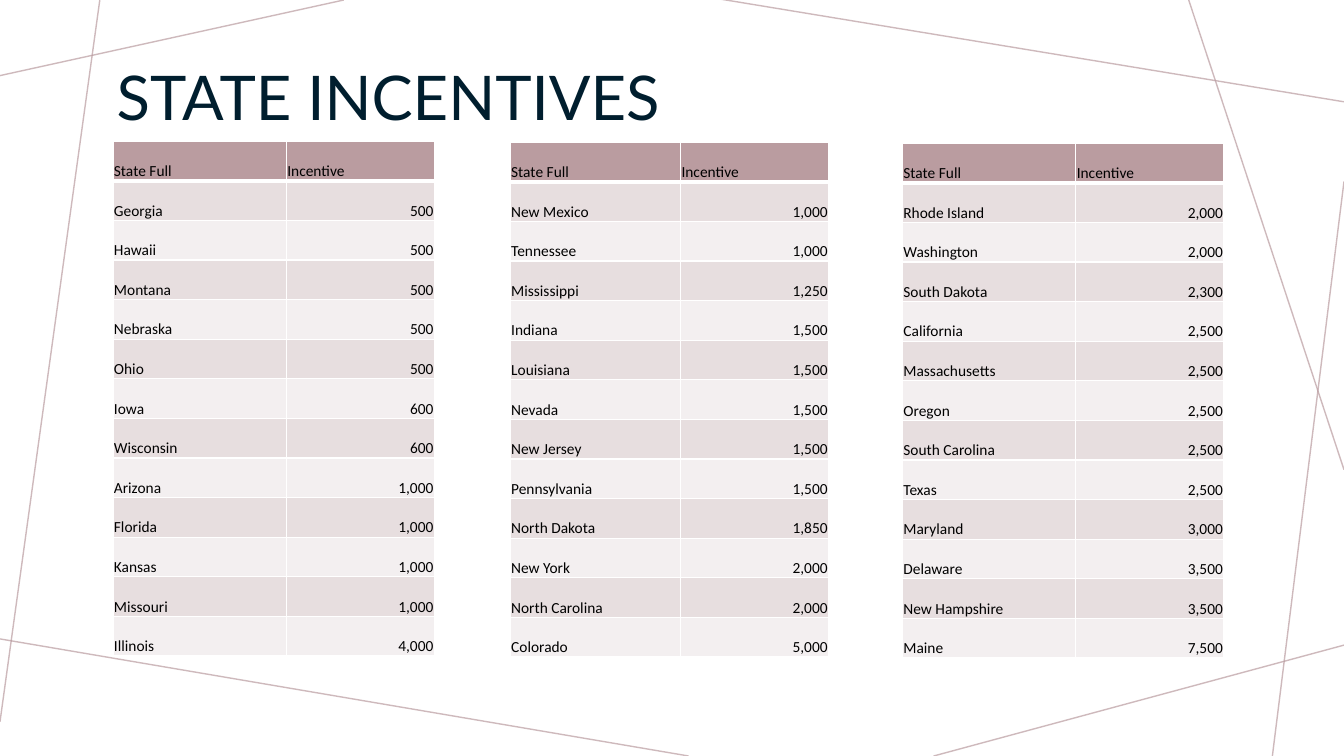
from lxml import etree
from pptx import Presentation
from pptx.dml.color import RGBColor
from pptx.enum.shapes import MSO_CONNECTOR
from pptx.enum.text import MSO_ANCHOR as ANCHOR, PP_ALIGN as ALIGN
from pptx.oxml.ns import qn
from pptx.util import Inches, Pt

ROSE, DARK_BAND, LIGHT_BAND = "BA9CA0", "E7DEDF", "F3EFF0"
WHITE, BLACK, NAVY = "FFFFFF", "000000", "001E2E"
TABLE_HEIGHT = 5.11

BACKDROP_LINES = [
    (3.41, 0, 0, 0.75),
    (0.99, 0, 0, 7.16),
    (6.83, 7.5, -0.05, 6.33),
    (13.33, 6.4, 9.26, 7.5),
    (13.33, 1.8, 12.62, 7.5),
    (13.33, 4.66, 11.79, 0),
    (13.33, 1.01, 7.14, -0.01),
]

HEADER = ("State Full", "Incentive")
TABLES = [
    (1.12, 1.4, (1.72, 1.47), [
        ("Georgia", 500), ("Hawaii", 500), ("Montana", 500), ("Nebraska", 500),
        ("Ohio", 500), ("Iowa", 600), ("Wisconsin", 600), ("Arizona", 1000),
        ("Florida", 1000), ("Kansas", 1000), ("Missouri", 1000), ("Illinois", 4000),
    ]),
    (5.06, 1.41, (1.69, 1.47), [
        ("New Mexico", 1000), ("Tennessee", 1000), ("Mississippi", 1250), ("Indiana", 1500),
        ("Louisiana", 1500), ("Nevada", 1500), ("New Jersey", 1500), ("Pennsylvania", 1500),
        ("North Dakota", 1850), ("New York", 2000), ("North Carolina", 2000), ("Colorado", 5000),
    ]),
    (8.95, 1.42, (1.72, 1.47), [
        ("Rhode Island", 2000), ("Washington", 2000), ("South Dakota", 2300), ("California", 2500),
        ("Massachusetts", 2500), ("Oregon", 2500), ("South Carolina", 2500), ("Texas", 2500),
        ("Maryland", 3000), ("Delaware", 3500), ("New Hampshire", 3500), ("Maine", 7500),
    ]),
]


def color(value):
    return RGBColor.from_string(value)


def add_run(p, text, font, size, fill):
    r = p.add_run()
    r.text = text
    r.font.name = font
    r.font.size = Pt(size)
    r.font.color.rgb = color(fill)


def add_backdrop(s):
    for ends in BACKDROP_LINES:
        line = s.shapes.add_connector(MSO_CONNECTOR.STRAIGHT, *map(Inches, ends))
        line.line.width = Pt(1)
        line.line.color.rgb = color(ROSE)
        sp_pr = line._element.spPr
        tint = sp_pr.find(".//" + qn("a:srgbClr"))
        etree.SubElement(tint, qn("a:alpha"), val="70000")
        etree.SubElement(sp_pr, qn("a:effectLst"))


def add_title(s, left, top, width, height):
    sp = s.shapes.add_textbox(*map(Inches, (left, top, width, height)))
    tf = sp.text_frame
    tf.word_wrap = True
    tf.vertical_anchor = ANCHOR.MIDDLE
    p = tf.paragraphs[0]
    p.line_spacing = 0.9
    add_run(p, "STATE INCENTIVES", "Lato", 44, NAVY)


def set_borders(cell, bottom):
    tc_pr = cell._tc.get_or_add_tcPr()
    for side, width in (("L", 1), ("R", 1), ("T", 1), ("B", bottom)):
        ln = etree.SubElement(tc_pr, qn("a:ln" + side), w=str(Pt(width)))
        fill = etree.SubElement(ln, qn("a:solidFill"))
        etree.SubElement(fill, qn("a:srgbClr"), val=WHITE)


def fill_cell(cell, text, fill, align, bottom):
    cell.margin_left = cell.margin_right = cell.margin_top = Inches(0.01)
    cell.margin_bottom = 0
    cell.vertical_anchor = ANCHOR.BOTTOM
    set_borders(cell, bottom)
    cell.fill.solid()
    cell.fill.fore_color.rgb = color(fill)
    p = cell.text_frame.paragraphs[0]
    p.alignment = align
    add_run(p, text, "Calibri", 11, BLACK)


def add_incentive_table(s, left, top, widths, states):
    rows = [HEADER] + [(state, f"{amount:,}") for state, amount in states]
    box = map(Inches, (left, top, sum(widths), TABLE_HEIGHT))
    table = s.shapes.add_table(len(rows), len(HEADER), *box).table
    table.first_row = table.horz_banding = False
    for column, width in zip(table.columns, widths):
        column.width = Inches(width)
    for i, row in enumerate(rows):
        table.rows[i].height = Inches(TABLE_HEIGHT / len(rows))
        fill = ROSE if i == 0 else DARK_BAND if i % 2 else LIGHT_BAND
        for j, text in enumerate(row):
            align = ALIGN.RIGHT if i and j else ALIGN.LEFT
            bottom = 1 if i else 3
            fill_cell(table.cell(i, j), text, fill, align, bottom)
            if i == 1:
                top_line = table.cell(i, j)._tc.tcPr.find(qn("a:lnT"))
                top_line.set("w", str(Pt(3)))


def main():
    prs = Presentation()
    prs.slide_width, prs.slide_height = Inches(13.33), Inches(7.5)
    s = prs.slides.add_slide(prs.slide_layouts[6])
    s.background.fill.solid()
    s.background.fill.fore_color.rgb = color(WHITE)
    add_backdrop(s)
    add_title(s, 1.06, 0.24, 10.83, 1.51)
    for left, top, widths, states in TABLES:
        add_incentive_table(s, left, top, widths, states)
    prs.save("out.pptx")


if __name__ == "__main__":
    main()
